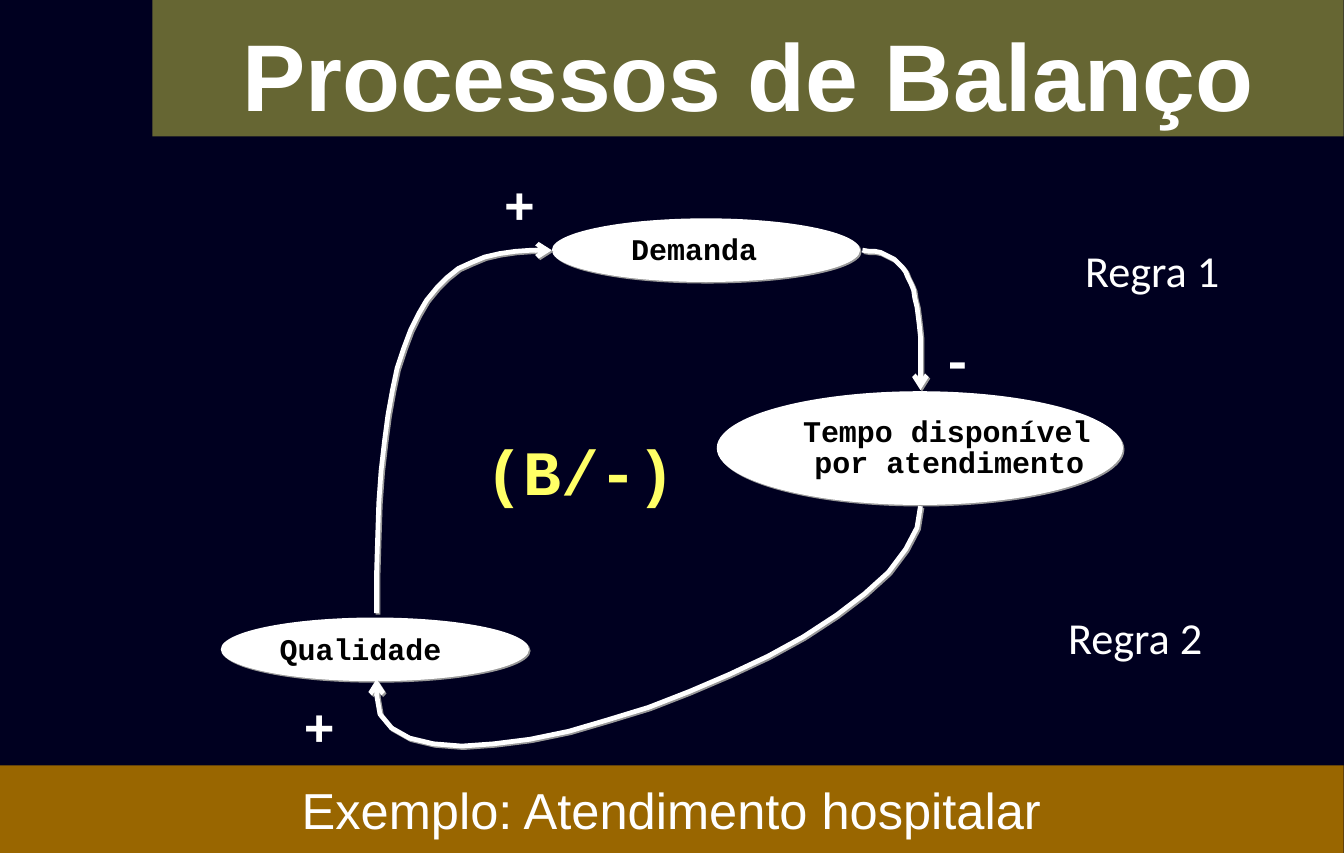
from lxml.etree import SubElement
from pptx import Presentation
from pptx.dml.color import RGBColor
from pptx.enum.shapes import MSO_SHAPE as SHAPE
from pptx.enum.text import MSO_ANCHOR as ANCHOR, MSO_AUTO_SIZE as AUTO_SIZE, PP_ALIGN as ALIGN
from pptx.oxml.ns import qn
from pptx.util import Inches, Pt

COLORS = {
    "night": "000020",
    "white": "FFFFFF",
    "black": "000000",
    "shade": "989898",
    "yellow": "FFFF66",
    "olive": "666633",
    "ochre": "996600",
}
RGB = {name: RGBColor.from_string(value) for name, value in COLORS.items()}

LABEL = {"name": "Courier New", "size": Pt(19), "bold": True, "color": "black"}
SIGN = {"name": "Courier New", "size": Pt(33), "bold": True, "color": "white"}
LOOP = {"name": "Courier New", "size": Pt(40), "bold": True, "color": "yellow"}
RULE = {"name": "Calibri", "size": Pt(28), "bold": False, "color": "white"}
HEADING = {"name": "Arial", "size": Pt(60), "bold": True, "color": "white"}
EXAMPLE = {"name": "Arial", "size": Pt(32), "bold": False, "color": "white"}


def write(frame, text, style, align):
    paragraph = frame.paragraphs[0]
    paragraph.alignment = align
    run = paragraph.add_run()
    run.text = text
    for key, value in style.items():
        if key == "color":
            run.font.color.rgb = RGB[value]
        else:
            setattr(run.font, key, value)


def cast_shadow(shape):
    shape.shadow.inherit = False
    effects = shape._element.spPr.find(qn("a:effectLst"))
    shadow = SubElement(effects, qn("a:outerShdw"), blurRad="0", dist=str(Pt(1.4)),
                        dir="2700000", algn="ctr", rotWithShape="0")
    SubElement(shadow, qn("a:srgbClr"), val=COLORS["shade"])


prs = Presentation()
prs.slide_width = Inches(189 / 16)
prs.slide_height = Inches(7.5)
slide = prs.slides.add_slide(prs.slide_layouts[6])
slide.background.fill.solid()
slide.background.fill.fore_color.rgb = RGB["night"]

variables = [
    (1.94, 5.43, 2.71, 0.56),
    (6.3, 3.44, 3.57, 1),
    (4.85, 1.92, 2.71, 0.56),
]
for place in variables:
    ellipse = slide.shapes.add_shape(SHAPE.OVAL, *map(Inches, place))
    ellipse.fill.solid()
    ellipse.fill.fore_color.rgb = RGB["white"]
    ellipse.line.fill.background()
    cast_shadow(ellipse)

quality_to_demand = [
    (3.31, 5.39), (3.31, 5.04), (3.32, 4.72), (3.33, 4.42), (3.35, 4.14), (3.38, 3.88),
    (3.41, 3.65), (3.45, 3.43), (3.49, 3.24), (3.55, 3.06), (3.61, 2.9), (3.68, 2.76),
    (3.75, 2.64), (3.84, 2.53), (3.93, 2.44), (4.03, 2.36), (4.14, 2.31), (4.26, 2.26),
    (4.39, 2.23), (4.53, 2.21), (4.67, 2.2), (4.85, 2.2),
]
time_to_quality = [
    (8.09, 4.45), (8.06, 4.64), (7.96, 4.83), (7.81, 5.03), (7.6, 5.22), (7.35, 5.41),
    (7.06, 5.6), (6.75, 5.77), (6.41, 5.93), (6.06, 6.08), (5.7, 6.22), (5.34, 6.33),
    (5, 6.43), (4.66, 6.5), (4.34, 6.54), (4.06, 6.56), (3.81, 6.54), (3.6, 6.49),
    (3.44, 6.4), (3.34, 6.28), (3.31, 6.11), (3.31, 5.97),
]
demand_to_time = [
    (7.58, 2.2), (7.64, 2.21), (7.69, 2.21), (7.74, 2.22), (7.78, 2.24), (7.82, 2.26),
    (7.86, 2.28), (7.9, 2.32), (7.93, 2.35), (7.96, 2.39), (7.98, 2.44), (8.01, 2.5),
    (8.03, 2.55), (8.04, 2.62), (8.06, 2.7), (8.07, 2.78), (8.08, 2.86), (8.09, 2.96),
    (8.09, 3.06), (8.09, 3.17), (8.09, 3.29), (8.09, 3.43),
]
for route in (quality_to_demand, time_to_quality, demand_to_time):
    start, *rest = [(Inches(x), Inches(y)) for x, y in route]
    builder = slide.shapes.build_freeform(*start)
    builder.add_line_segments(rest, close=False)
    influence = builder.convert_to_shape()
    influence.fill.background()
    influence.line.color.rgb = RGB["white"]
    influence.line.width = Pt(3)
    SubElement(influence._element.spPr.find(qn("a:ln")), qn("a:tailEnd"), type="arrow")
    cast_shadow(influence)

captions = [
    ("(B/-)", (4.17, 3.75, 1.89, 0.76), LOOP, ALIGN.LEFT),
    ("+", (4.33, 1.47, 0.47, 0.65), SIGN, ALIGN.RIGHT),
    ("+", (2.57, 6.06, 0.47, 0.65), SIGN, ALIGN.RIGHT),
    ("-", (8.18, 2.83, 0.47, 0.65), SIGN, ALIGN.LEFT),
    ("Qualidade", (2.36, 5.49, 1.64, 0.41), LABEL, ALIGN.LEFT),
    ("Tempo disponível", (6.96, 3.58, 2.75, 0.41), LABEL, ALIGN.LEFT),
    ("por atendimento", (7.06, 3.85, 2.59, 0.41), LABEL, ALIGN.LEFT),
    ("Demanda", (5.45, 1.98, 1.33, 0.41), LABEL, ALIGN.LEFT),
    ("Regra 1", (9.44, 2.09, 1.57, 0.56), RULE, ALIGN.LEFT),
    ("Regra 2", (9.29, 5.32, 1.57, 0.56), RULE, ALIGN.LEFT),
]
for text, place, style, align in captions:
    frame = slide.shapes.add_textbox(*map(Inches, place)).text_frame
    frame.word_wrap = False
    frame.auto_size = AUTO_SIZE.SHAPE_TO_FIT_TEXT
    write(frame, text, style, align)

bands = [
    ("Exemplo: Atendimento hospitalar", (0, 6.73, 11.81, 0.77), "ochre", EXAMPLE, ANCHOR.MIDDLE, 1.0),
    ("Processos de Balanço", (1.34, 0, 10.47, 1.2), "olive", HEADING, ANCHOR.TOP, 1.1),
]
for text, place, color, style, anchor, spacing in bands:
    band = slide.shapes.add_shape(SHAPE.RECTANGLE, *map(Inches, place))
    band.shadow.inherit = False
    band.fill.solid()
    band.fill.fore_color.rgb = RGB[color]
    band.line.fill.background()
    band.text_frame.word_wrap = True
    band.text_frame.vertical_anchor = anchor
    write(band.text_frame, text, style, ALIGN.CENTER)
    band.text_frame.paragraphs[0].line_spacing = spacing

prs.save("out.pptx")
